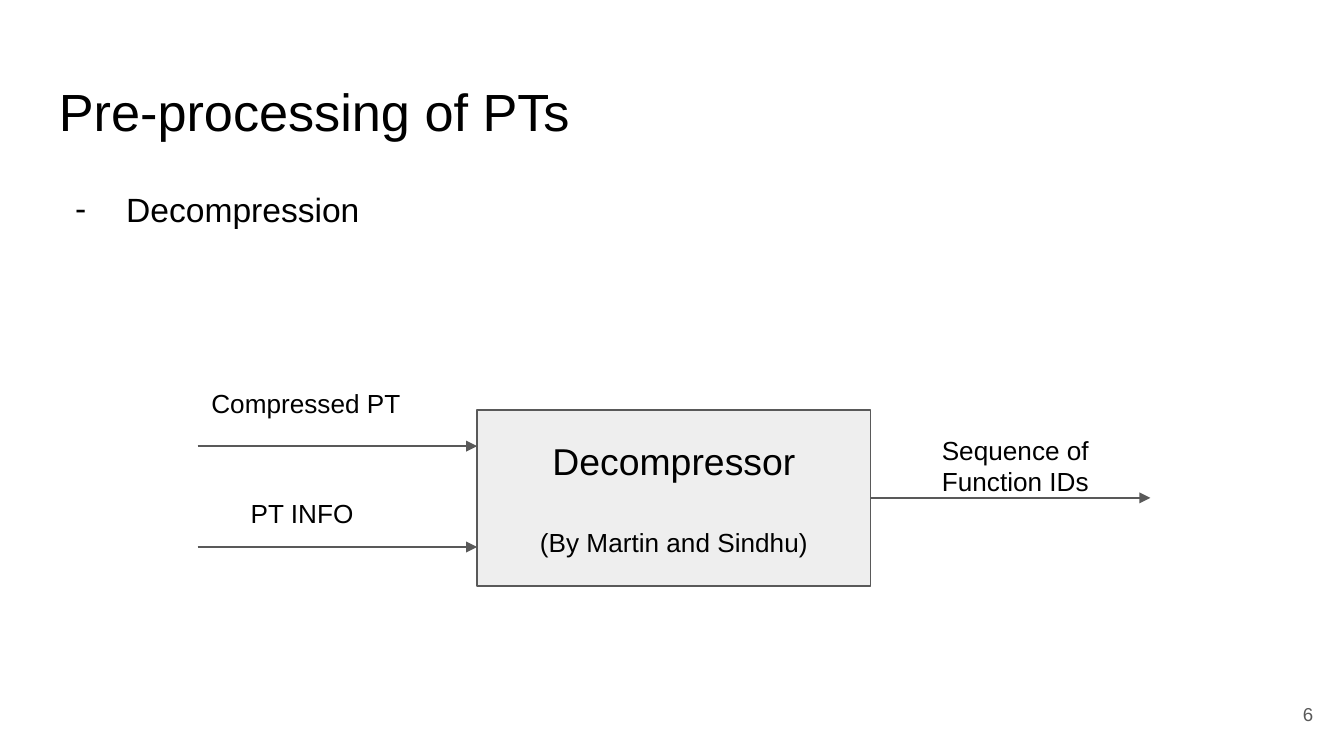
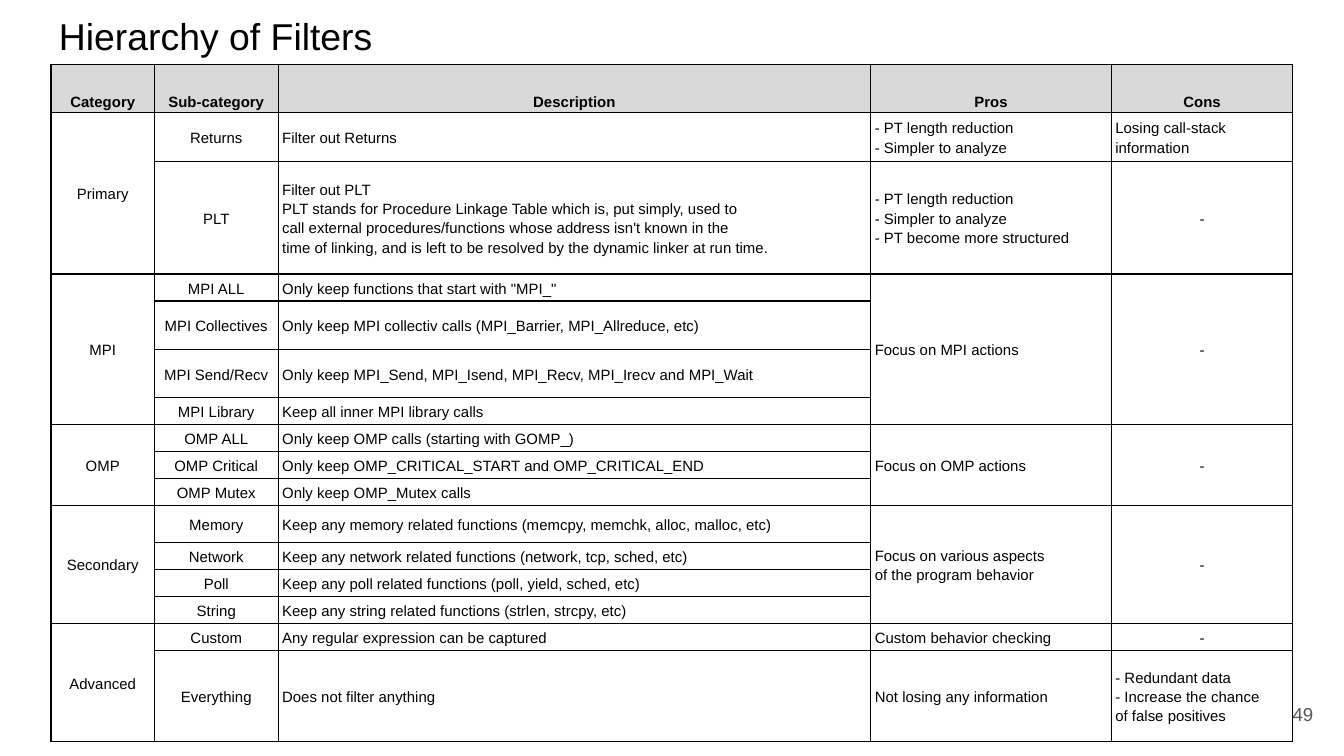
from lxml.etree import SubElement
from pptx import Presentation
from pptx.dml.color import RGBColor
from pptx.enum.shapes import MSO_CONNECTOR, MSO_SHAPE
from pptx.enum.text import MSO_ANCHOR, PP_ALIGN
from pptx.oxml.ns import qn
from pptx.util import Inches, Pt

FONT = "Arial"
BLACK = RGBColor(0x00, 0x00, 0x00)
WHITE = RGBColor(0xFF, 0xFF, 0xFF)
GRAY = RGBColor(0x59, 0x59, 0x59)
PALE = RGBColor(0xEE, 0xEE, 0xEE)
SHADE = RGBColor(0xD9, 0xD9, 0xD9)
LEFT, CENTER, RIGHT = PP_ALIGN.LEFT, PP_ALIGN.CENTER, PP_ALIGN.RIGHT
TOP, MIDDLE, BOTTOM = MSO_ANCHOR.TOP, MSO_ANCHOR.MIDDLE, MSO_ANCHOR.BOTTOM

WIDE, HIGH = 10, 5.625
EDGE = 0.34
SPAN = WIDE - 2 * EDGE
RULE = 0.75

BOX = (3.55, 3.05, 2.93, 1.31)
REACH = 2.08
LABEL = (1.61, 0.47)
INPUTS = [("Compressed PT ", 3.32, 2.78), ("PT INFO ", 4.07, 3.6)]
OUTPUT = ("Sequence of Function IDs", 6.75, 3.13)

ORIGIN = (0.38, 0.48)
COLS = [0.77, 0.92, 4.41, 1.79, 1.35]
HEAD = ["Category", "Sub-category", "Description", "Pros", "Cons"]
LOW, MID = 0.2, 0.36
# None joins a cell to the one above it.
GROUPS = [
    ("Primary", [
        (MID, "Returns", "Filter out Returns",
         "- PT length reduction\n- Simpler to analyze",
         "Losing call-stack\ninformation"),
        (0.84, "PLT",
         "Filter out PLT\n"
         "PLT stands for Procedure Linkage Table which is, put simply, used to\n"
         "call external procedures/functions whose address isn't known in the\n"
         "time of linking, and is left to be resolved by the dynamic linker at run time.",
         "- PT length reduction\n- Simpler to analyze\n- PT become more structured",
         "-"),
    ]),
    ("MPI", [
        (LOW, "MPI ALL", 'Only keep functions that start with "MPI_"',
         "Focus on MPI actions", "-"),
        (MID, "MPI Collectives",
         "Only keep MPI collectiv calls (MPI_Barrier, MPI_Allreduce, etc)", None, None),
        (MID, "MPI Send/Recv",
         "Only keep MPI_Send, MPI_Isend, MPI_Recv, MPI_Irecv and MPI_Wait", None, None),
        (LOW, "MPI Library", "Keep all inner MPI library calls", None, None),
    ]),
    ("OMP", [
        (LOW, "OMP ALL", "Only keep OMP calls (starting with GOMP_)",
         "Focus on OMP actions", "-"),
        (LOW, "OMP Critical",
         "Only keep OMP_CRITICAL_START and OMP_CRITICAL_END", None, None),
        (LOW, "OMP Mutex", "Only keep OMP_Mutex calls", None, None),
    ]),
    ("Secondary", [
        (0.28, "Memory",
         "Keep any memory related functions (memcpy, memchk, alloc, malloc, etc)",
         "Focus on various aspects\nof the program behavior", "-"),
        (LOW, "Network",
         "Keep any network related functions (network, tcp, sched, etc)", None, None),
        (LOW, "Poll", "Keep any poll related functions (poll, yield, sched, etc)",
         None, None),
        (LOW, "String", "Keep any string related functions (strlen, strcpy, etc)",
         None, None),
    ]),
    ("Advanced", [
        (LOW, "Custom", "Any regular expression can be captured",
         "Custom behavior checking", "-"),
        (0.68, "Everything", "Does not filter anything", "Not losing any information",
         "- Redundant data\n- Increase the chance\nof false positives"),
    ]),
]


def write(frame, lines, align=LEFT, anchor=TOP, pad=(0.1, 0.1), space=None):
    frame.word_wrap = True
    frame.vertical_anchor = anchor
    frame.margin_left = frame.margin_right = Inches(pad[0])
    frame.margin_top = frame.margin_bottom = Inches(pad[1])
    for i, (text, size, color, bold) in enumerate(lines):
        para = frame.paragraphs[0] if i == 0 else frame.add_paragraph()
        para.alignment = align
        if space:
            para.line_spacing = space
        run = para.add_run()
        run.text = text
        font = run.font
        font.name, font.size, font.bold = FONT, Pt(size), bold
        font.color.rgb = color


def put(slide, area, text, size, color=BLACK, **style):
    frame = slide.shapes.add_textbox(*map(Inches, area)).text_frame
    write(frame, [(text, size, color, False)], **style)
    return frame.paragraphs[0]


def start(deck, title, size, top, high, page):
    slide = deck.slides.add_slide(deck.slide_layouts[6])
    slide.background.fill.solid()
    slide.background.fill.fore_color.rgb = WHITE
    put(slide, (EDGE, top, SPAN, high), title, size)
    return slide, lambda: put(slide, (9.27, 5.1, 0.6, 0.43), page, 10, GRAY,
                              align=RIGHT, anchor=MIDDLE)


def dash(para):
    props = para._p.get_or_add_pPr()
    props.set("marL", str(Inches(0.5)))
    props.set("indent", str(Inches(-0.38)))
    tint = SubElement(props, qn("a:buClr"))
    SubElement(tint, qn("a:srgbClr"), val=str(BLACK))
    SubElement(props, qn("a:buFont"), typeface=FONT)
    SubElement(props, qn("a:buChar"), char="-")


def arrow(slide, x, y):
    ends = map(Inches, (x, y, x + REACH, y))
    line = slide.shapes.add_connector(MSO_CONNECTOR.STRAIGHT, *ends)
    line.line.color.rgb = GRAY
    line.line.width = Pt(RULE)
    SubElement(line.line._get_or_add_ln(), qn("a:tailEnd"), type="triangle")
    SubElement(line._element.spPr, qn("a:effectLst"))


def frame_cell(cell):
    props = cell._tc.get_or_add_tcPr()
    for side in "LRTB":
        line = SubElement(props, qn("a:ln" + side), w=str(Pt(RULE)))
        fill = SubElement(line, qn("a:solidFill"))
        SubElement(fill, qn("a:srgbClr"), val=str(BLACK))


def draw_flow(deck):
    slide, number = start(deck, "Pre-processing of PTs", 28, 0.49, 0.63, "6")
    dash(put(slide, (EDGE, 1.26, SPAN, 3.74), "Decompression", 18, space=1.15))
    x, y, w, h = BOX
    box = slide.shapes.add_shape(MSO_SHAPE.RECTANGLE, *map(Inches, BOX))
    box.shadow.inherit = False
    box.fill.solid()
    box.fill.fore_color.rgb = PALE
    box.line.color.rgb = GRAY
    box.line.width = Pt(RULE)
    write(box.text_frame, [("Decompressor", 20, BLACK, False),
                           ("(By Martin and Sindhu)", 14, BLACK, False)],
          CENTER, MIDDLE)
    box.text_frame.paragraphs[1].space_before = Pt(23)
    left = x - REACH
    for text, level, top in INPUTS:
        arrow(slide, left, level)
        put(slide, (left, top, *LABEL), text, 14, align=CENTER)
    arrow(slide, x + w, y + h / 2)
    text, *spot = OUTPUT
    put(slide, (*spot, *LABEL), text, 14, align=CENTER)
    number()


def draw_table(deck):
    slide, number = start(deck, "Hierarchy of Filters", 20, 0, 0.47, "49")
    rows = [(MID, *HEAD)]
    for name, items in GROUPS:
        for i, (high, *rest) in enumerate(items):
            rows.append((high, None if i else name, *rest))
    size = (sum(COLS), sum(row[0] for row in rows))
    grid = slide.shapes.add_table(len(rows), len(COLS),
                                  *map(Inches, ORIGIN + size)).table
    grid.first_row = grid.horz_banding = False
    for col, width in zip(grid.columns, COLS):
        col.width = Inches(width)
    for r, (high, *texts) in enumerate(rows):
        grid.rows[r].height = Inches(high)
        for c, text in enumerate(texts):
            cell = grid.cell(r, c)
            frame_cell(cell)
            if r == 0:
                cell.fill.solid()
                cell.fill.fore_color.rgb = SHADE
            else:
                cell.fill.background()
            if text is None:
                continue
            mid = r == 0 or c < 2 or text == "-"
            lines = [(part, 8, BLACK, r == 0) for part in text.split("\n")]
            anchor = MIDDLE if r else BOTTOM
            write(cell.text_frame, lines, CENTER if mid else LEFT, space=1.15)
            cell.vertical_anchor = anchor
            cell.margin_left = cell.margin_right = Inches(0.03)
            cell.margin_top = cell.margin_bottom = Inches(0.02)
            last = r
            while last + 1 < len(rows) and rows[last + 1][c + 1] is None:
                last += 1
            if last > r:
                cell.merge(grid.cell(last, c))
    number()


def main():
    deck = Presentation()
    deck.slide_width, deck.slide_height = Inches(WIDE), Inches(HIGH)
    draw_flow(deck)
    draw_table(deck)
    deck.save("out.pptx")


if __name__ == "__main__":
    main()
